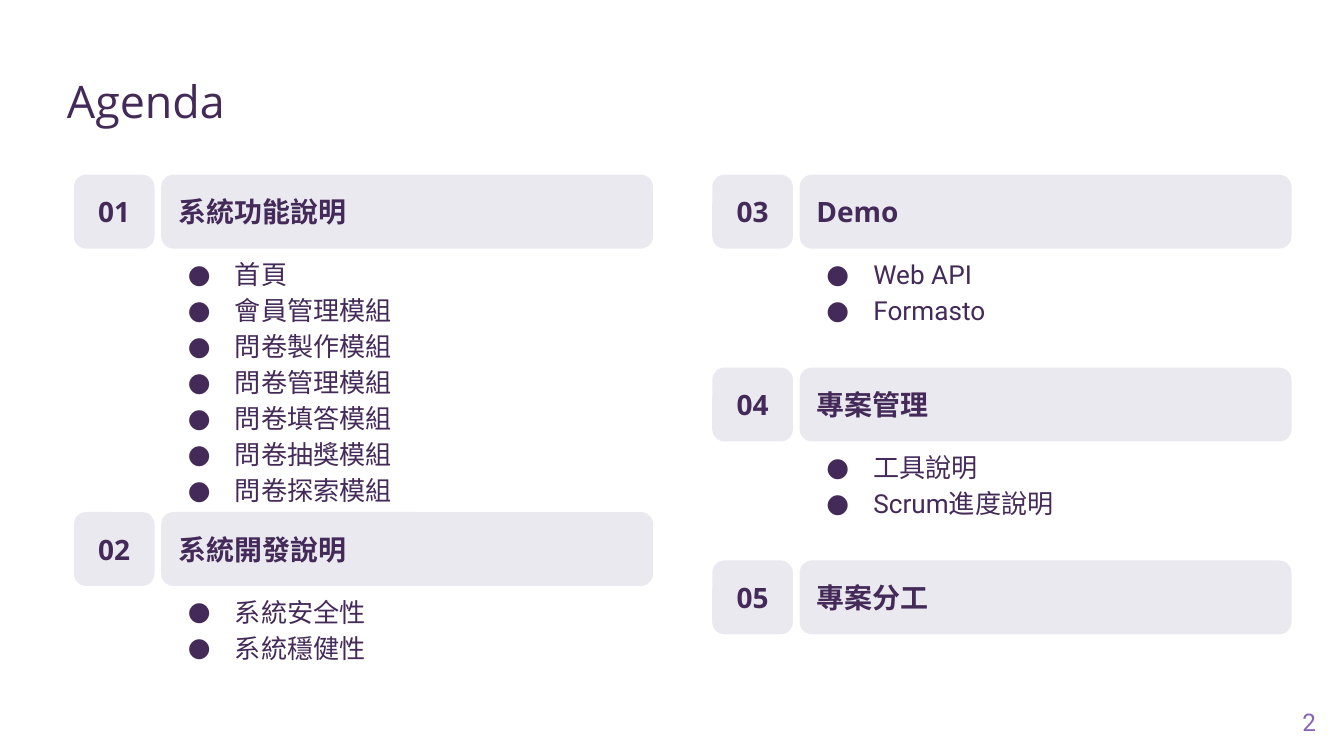
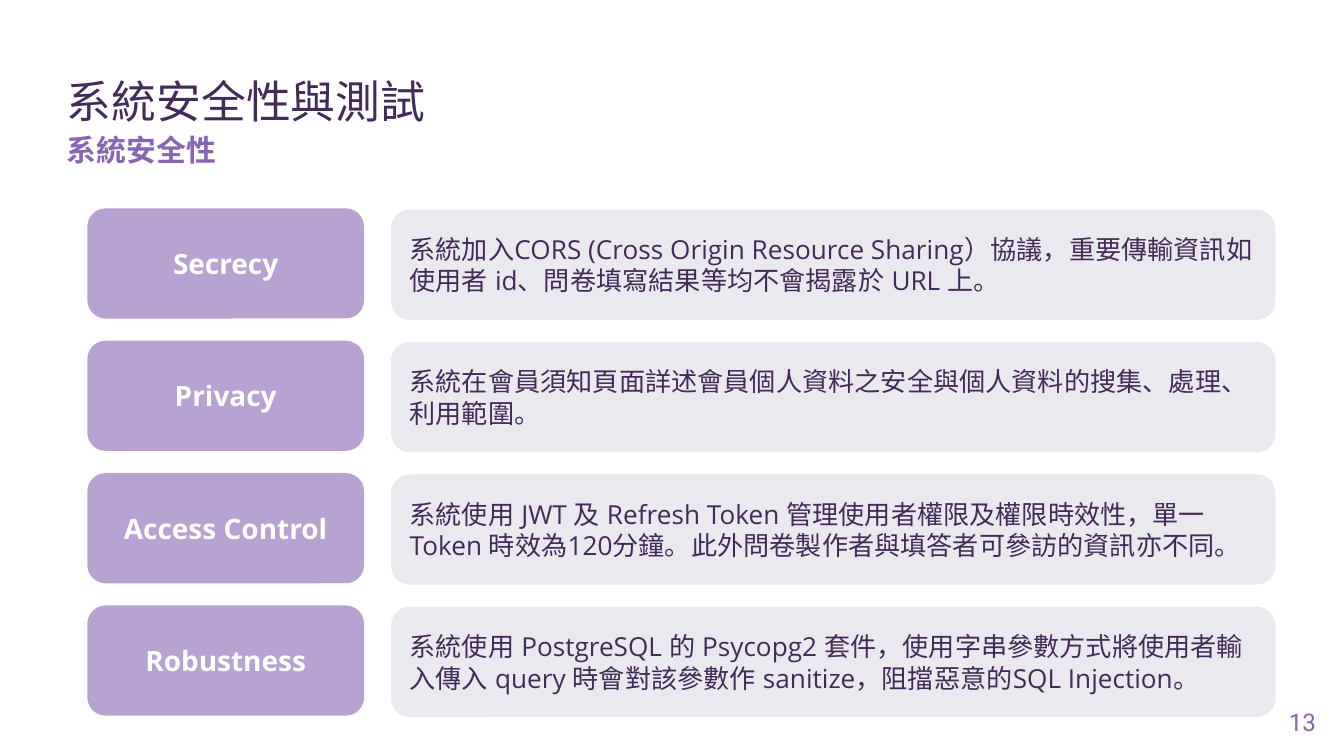
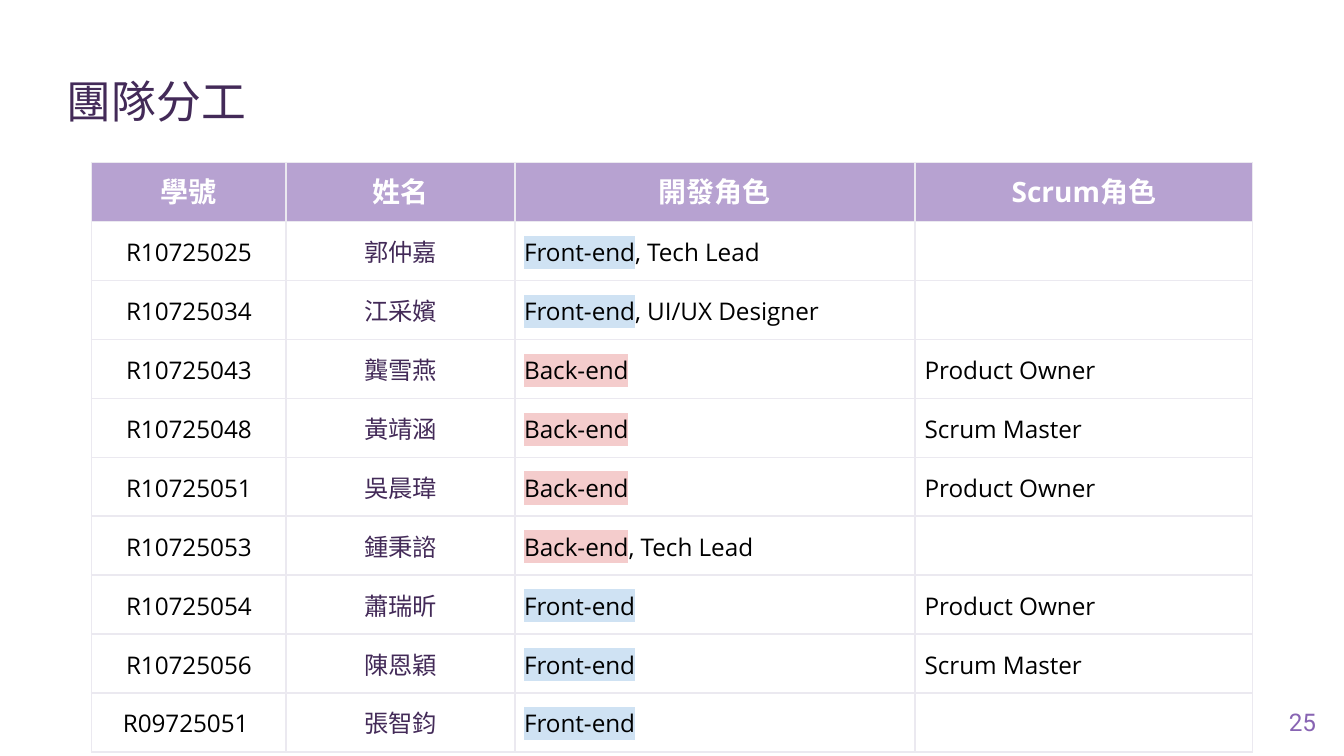
"""Build the agenda, security and team slides of a survey system talk."""
from lxml.etree import SubElement
from pptx import Presentation
from pptx.dml.color import RGBColor
from pptx.enum.shapes import MSO_SHAPE
from pptx.enum.text import MSO_ANCHOR, MSO_AUTO_SIZE, PP_ALIGN
from pptx.oxml.ns import qn
from pptx.util import Inches, Pt

WIDTH, HEIGHT = Inches(10), Inches(5.625)
MODULE = WIDTH // 100
INSET, CELL_INSET = Inches(0.1), Inches(0.07)

DARK = RGBColor(0x43, 0x2A, 0x58)
PURPLE = RGBColor(0x88, 0x64, 0xB3)
PALE = RGBColor(0xEB, 0xE9, 0xF0)
WHITE = RGBColor(0xFF, 0xFF, 0xFF)
BLACK = RGBColor(0x00, 0x00, 0x00)
BLUE_MARK = RGBColor(0xCF, 0xE2, 0xF3)
RED_MARK = RGBColor(0xF4, 0xCC, 0xCC)
MARKS = {"Front-end": BLUE_MARK, "Back-end": RED_MARK}

SANS, ROBOTO = "Open Sans", "Roboto"
TITLE = {"name": SANS, "size": Pt(24), "color": DARK}
SUBTITLE = {"name": ROBOTO, "size": Pt(16), "color": PURPLE, "bold": True}
PAGE_NUMBER = {"name": ROBOTO, "size": Pt(13), "color": PURPLE}
HEADING = {"name": SANS, "size": Pt(15), "color": DARK, "bold": True}
LABEL = {**HEADING, "color": WHITE}
BODY = {"name": SANS, "size": Pt(14), "color": DARK}
ITEM = {**BODY, "name": ROBOTO}
CELL = {"name": SANS, "size": Pt(13), "color": BLACK}
NAME_CELL = {**CELL, "color": DARK}

LEFT_COLUMN, RIGHT_COLUMN = 5.5, 53
AGENDA_TOP, RIGHT_STEP = 13, 14.35
AGENDA = [
    ("系統功能說明", LEFT_COLUMN, AGENDA_TOP,
     ["首頁", "會員管理模組", "問卷製作模組", "問卷管理模組",
      "問卷填答模組", "問卷抽獎模組", "問卷探索模組"]),
    ("系統開發說明", LEFT_COLUMN, 38.1, ["系統安全性", "系統穩健性"]),
    ("Demo", RIGHT_COLUMN, AGENDA_TOP, ["Web API", "Formasto"]),
    ("專案管理", RIGHT_COLUMN, AGENDA_TOP + RIGHT_STEP, ["工具說明", "Scrum進度說明"]),
    ("專案分工", RIGHT_COLUMN, AGENDA_TOP + 2 * RIGHT_STEP, []),
]
SECURITY = [
    ("Secrecy", "系統加入CORS (Cross Origin Resource Sharing）協議，重要傳輸資訊"
     "如使用者 id、問卷填寫結果等均不會揭露於 URL 上。"),
    ("Privacy", "系統在會員須知頁面詳述會員個人資料之安全與個人資料的搜集、處理、利用範圍。"),
    ("Access Control", "系統使用 JWT 及 Refresh Token 管理使用者權限及權限時效性，單一"
     "Token 時效為120分鐘。此外問卷製作者與填答者可參訪的資訊亦不同。"),
    ("Robustness", "系統使用 PostgreSQL 的 Psycopg2 套件，使用字串參數方式將使用者"
     "輸入傳入 query 時會對該參數作 sanitize，阻擋惡意的SQL Injection。"),
]
TEAM_HEADER = ("學號", "姓名", "開發角色", "Scrum角色")
TEAM_WIDTHS = (14.5, 17, 29.8, 25.1)
TEAM = [
    ("R10725025", "郭仲嘉", "Front-end, Tech Lead", ""),
    ("R10725034", "江采嬪", "Front-end, UI/UX Designer", ""),
    ("R10725043", "龔雪燕", "Back-end", "Product Owner"),
    ("R10725048", "黃靖涵", "Back-end", "Scrum Master"),
    ("R10725051", "吳晨瑋", "Back-end", "Product Owner"),
    ("R10725053", "鍾秉諮", "Back-end, Tech Lead", ""),
    ("R10725054", "蕭瑞昕", "Front-end", "Product Owner"),
    ("R10725056", "陳恩穎", "Front-end", "Scrum Master"),
    ("R09725051 ", "張智鈞", "Front-end", ""),
]


def modules(*lengths):
    """Turn lengths in grid modules into slide units."""
    return [round(length * MODULE) for length in lengths]


def apply(target, values):
    """Set each attribute in values on the target."""
    for attribute, value in values.items():
        setattr(target, attribute, value)


def add_span(para, text, style, mark=None):
    """Add a run with a font style and an optional highlight."""
    span = para.add_run()
    span.text = text
    apply(span.font, {key: value for key, value in style.items() if key != "color"})
    span.font.color.rgb = style["color"]
    properties = span._r.get_or_add_rPr()
    SubElement(properties, qn("a:ea"), typeface=style["name"])
    if mark is not None:
        highlight = SubElement(properties, qn("a:highlight"))
        SubElement(highlight, qn("a:srgbClr"), val=str(mark))
        properties.find(qn("a:latin")).addprevious(highlight)


def set_frame(frame, anchor=MSO_ANCHOR.TOP):
    """Give a text frame its wrapping, margins and anchor."""
    apply(frame, {"word_wrap": True, "vertical_anchor": anchor,
                  "margin_left": INSET, "margin_right": INSET,
                  "margin_top": INSET, "margin_bottom": INSET})


def add_text(page, area, text, style, align=PP_ALIGN.LEFT):
    """Add a one-paragraph text box."""
    frame = page.shapes.add_textbox(*modules(*area)).text_frame
    set_frame(frame)
    frame.paragraphs[0].alignment = align
    add_span(frame.paragraphs[0], text, style)


def paint(fill, properties, color, alpha=None):
    """Fill with a colour, at a percentage of opacity if given."""
    fill.solid()
    fill.fore_color.rgb = color
    if alpha:
        node = properties.find(qn("a:solidFill")).find(qn("a:srgbClr"))
        SubElement(node, qn("a:alpha"), val=str(alpha * 1000))


def add_card(page, area, text, style, align=PP_ALIGN.LEFT, color=PALE, alpha=None):
    """Add a rounded rectangle holding text."""
    card = page.shapes.add_shape(MSO_SHAPE.ROUNDED_RECTANGLE, *modules(*area))
    card.shadow.inherit = False
    card.line.fill.background()
    paint(card.fill, card._element.spPr, color, alpha)
    set_frame(card.text_frame, MSO_ANCHOR.MIDDLE)
    para = card.text_frame.paragraphs[0]
    para.alignment = align
    add_span(para, text, style)


def add_bullets(page, area, items):
    """Add a box of bulleted items."""
    frame = page.shapes.add_textbox(*modules(*area)).text_frame
    set_frame(frame)
    frame.auto_size = MSO_AUTO_SIZE.SHAPE_TO_FIT_TEXT
    for index, item in enumerate(items):
        para = frame.add_paragraph() if index else frame.paragraphs[0]
        para.line_spacing = 1.15
        properties = para._p.get_or_add_pPr()
        properties.set("marL", str(Inches(0.5)))
        properties.set("indent", str(-Inches(0.35)))
        color = SubElement(properties, qn("a:buClr"))
        SubElement(color, qn("a:srgbClr"), val=str(DARK))
        SubElement(properties, qn("a:buFont"), typeface=ROBOTO)
        SubElement(properties, qn("a:buChar"), char="●")
        add_span(para, item, ITEM)


def add_page(deck, title, number):
    """Add a blank page with its title and page number."""
    page = deck.slides.add_slide(deck.slide_layouts[6])
    add_text(page, (4, 4.5, 95.2, 6.3), title, TITLE)
    add_text(page, (92.9, 51.6, 6, 4.3), str(number), PAGE_NUMBER, PP_ALIGN.RIGHT)
    return page


def add_section(page, number, heading, left, top, items):
    """Add a numbered agenda section with its items below."""
    add_card(page, (left, top, 6, 5.5), f"{number:02}", HEADING, PP_ALIGN.CENTER)
    add_card(page, (left + 6.5, top, 36.6, 5.5), heading, HEADING)
    if items:
        height = 1.7 + 2.7 * len(items)
        add_bullets(page, (left + 6, top + 4.9, 25.4, height), items)


def set_borders(cell):
    """Draw a thin pale line on each side of a cell."""
    properties = cell._tc.get_or_add_tcPr()
    for side in ("lnL", "lnR", "lnT", "lnB"):
        line = SubElement(properties, qn(f"a:{side}"), w=str(Pt(1)))
        fill = SubElement(line, qn("a:solidFill"))
        SubElement(fill, qn("a:srgbClr"), val=str(PALE))


def fill_header_cell(cell, text):
    """Write a header cell on a purple ground."""
    cell.vertical_anchor = MSO_ANCHOR.MIDDLE
    paint(cell.fill, cell._tc.tcPr, PURPLE, 60)
    para = cell.text_frame.paragraphs[0]
    para.alignment = PP_ALIGN.CENTER
    add_span(para, text, LABEL)


def fill_body_cell(cell, text, column):
    """Write a body cell, highlighting the development side."""
    cell.fill.background()
    if not text:
        return
    para = cell.text_frame.paragraphs[0]
    apply(para, {"line_spacing": 1.15,
                 "alignment": PP_ALIGN.CENTER if column < 2 else PP_ALIGN.LEFT})
    side, comma, rest = text.partition(",")
    add_span(para, side, NAME_CELL if column == 1 else CELL, MARKS.get(side))
    if comma:
        add_span(para, comma + rest, CELL)


def add_team_table(page):
    """Add the table of team members and roles."""
    rows = [TEAM_HEADER, *TEAM]
    row_height = 4.38
    area = modules(6.8, 12.1, sum(TEAM_WIDTHS), row_height * len(rows))
    table = page.shapes.add_table(len(rows), len(TEAM_HEADER), *area).table
    apply(table, {"first_row": False, "horz_banding": False})
    for column, width in zip(table.columns, modules(*TEAM_WIDTHS)):
        column.width = width
    for row_index, texts in enumerate(rows):
        table.rows[row_index].height = modules(row_height)[0]
        for column_index, text in enumerate(texts):
            cell = table.cell(row_index, column_index)
            apply(cell, {f"margin_{side}": CELL_INSET
                         for side in ("left", "right", "top", "bottom")})
            set_borders(cell)
            if row_index:
                fill_body_cell(cell, text, column_index)
            else:
                fill_header_cell(cell, text)


def build_agenda(deck):
    """Build the agenda page."""
    page = add_page(deck, "Agenda", 2)
    for number, section in enumerate(AGENDA, 1):
        add_section(page, number, *section)


def build_security(deck):
    """Build the page of security measures."""
    page = add_page(deck, "系統安全性與測試", 13)
    add_text(page, (4, 8.8, 30.8, 4.9), "系統安全性", SUBTITLE)
    for index, (label, text) in enumerate(SECURITY):
        top = 15.5 + 9.85 * index
        add_card(page, (6.5, top, 20.6, 8.2), label, LABEL, PP_ALIGN.CENTER, PURPLE, 60)
        add_card(page, (29.1, top + 0.1, 65.8, 8.2), text, BODY)


def build_team(deck):
    """Build the page of team roles."""
    add_team_table(add_page(deck, "團隊分工", 25))


def main():
    """Build and save the deck."""
    deck = Presentation()
    apply(deck, {"slide_width": WIDTH, "slide_height": HEIGHT})
    build_agenda(deck)
    build_security(deck)
    build_team(deck)
    deck.save("out.pptx")


if __name__ == "__main__":
    main()
